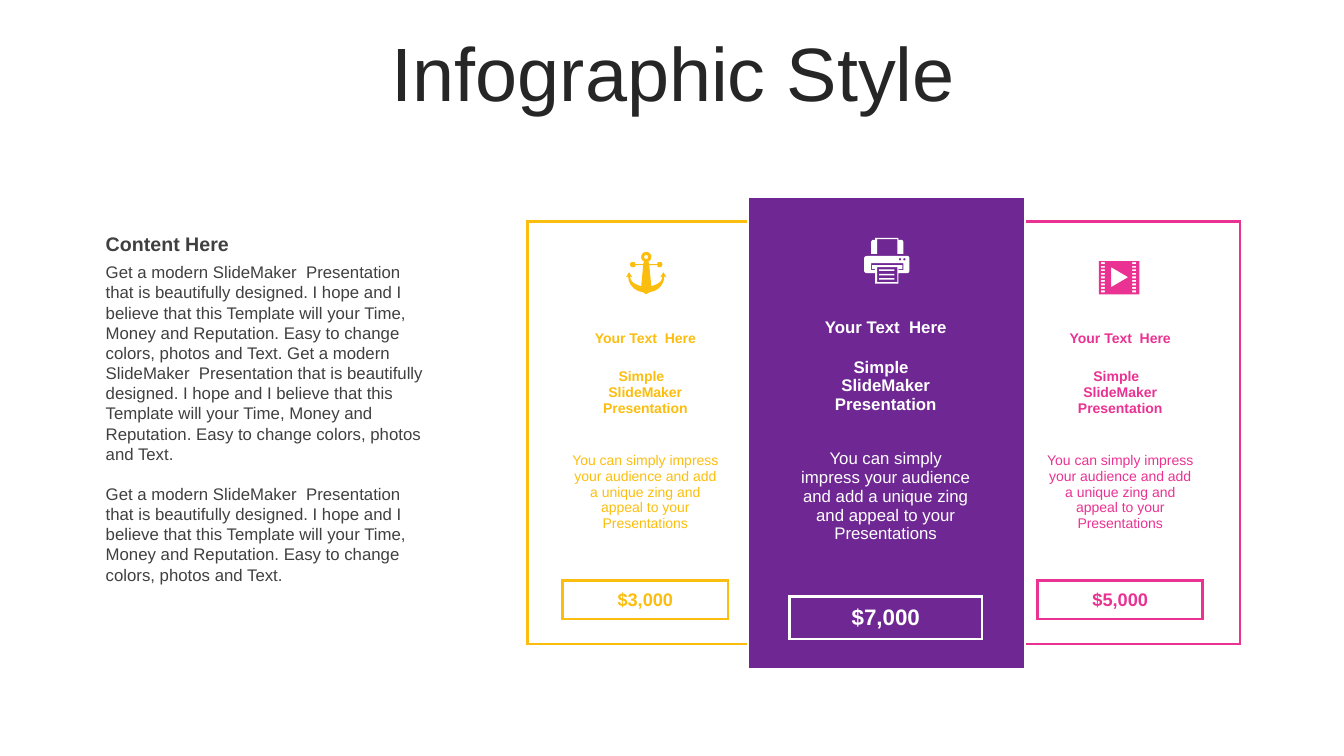
from lxml.etree import SubElement as Sub
from pptx import Presentation
from pptx.dml.color import RGBColor
from pptx.enum.text import MSO_ANCHOR as Anchor, MSO_AUTO_SIZE as Fit, PP_ALIGN as Align
from pptx.oxml.ns import qn
from pptx.util import Inches, Pt

PINK, GOLD, PURPLE, WHITE, GREY = "EA3293", "FCBE0E", "6F2893", "FFFFFF", "404040"
NO_GRID = "{2D5ABB26-0587-4C30-8999-92F81FD0307C}"
INTRO = ("Get a modern SlideMaker  Presentation that is beautifully designed. "
         "I hope and I believe that this Template will your Time, Money and "
         "Reputation. Easy to change colors, photos and Text.")
PITCH = ("You can simply impress your audience and add a unique zing and "
         "appeal to your Presentations")
PRICE_ROW = 5
SMALL = dict(cols=(0.35, 1.64, 0.37), rows=(1, 0.33, 0.73, 1.25, 0.25, 0.38, 0.25),
             size=10, price_size=13, edge=2.25, inset=0.08)
LARGE = dict(cols=(0.41, 1.91, 0.43), rows=(1.11, 0.36, 0.8, 1.39, 0.3, 0.42, 0.3),
             size=12, price_size=16, edge=1.5, inset=0.1)


def rgb(code):
    return RGBColor.from_string(code)


def write(frame, *lines, size=12, color=GREY, bold=False, align=None, gap=0, leading=None):
    frame.word_wrap = True
    for i, line in enumerate(lines):
        para = frame.paragraphs[0] if i == 0 else frame.add_paragraph()
        para.alignment = align
        para.line_spacing = leading
        para.space_before = Pt(gap if i else 0)
        run = para.add_run()
        run.text = line
        font = run.font
        font.name, font.size, font.bold = "Arial", Pt(size), bold
        font.color.rgb = rgb(color)


def add_text(slide, x, y, w, h, *lines, **fmt):
    box = slide.shapes.add_textbox(Inches(x), Inches(y), Inches(w), Inches(h))
    write(box.text_frame, *lines, **fmt)


def add_title(slide, text):
    title = slide.shapes.title
    title.left, title.top = Inches(0.35), Inches(0.37)
    title.width, title.height = Inches(12.66), Inches(0.79)
    frame = title.text_frame
    frame.auto_size = Fit.NONE
    frame.vertical_anchor = Anchor.MIDDLE
    write(frame, text, size=54, color="262626", align=Align.CENTER, leading=0.9)


def borders(row, col, edge):
    """Width of each drawn side: the outer frame and the price box."""
    sides = {}
    for side, outer in (("L", col == 0), ("R", col == 2), ("T", row == 0), ("B", row == 6)):
        if outer:
            sides[side] = edge
    box = {(0, 0): "LRTB", (-1, 0): "B", (1, 0): "T", (0, -1): "R", (0, 1): "L"}
    for side in box.get((row - PRICE_ROW, col - 1), ""):
        sides[side] = 2.25
    return sides


def draw_sides(cell, sides, color):
    props = cell._tc.get_or_add_tcPr()
    for side in "LRTB":
        if side in sides:
            line = Sub(props, qn("a:ln" + side), w=str(Pt(sides[side])))
            Sub(Sub(line, qn("a:solidFill")), qn("a:srgbClr"), val=color)


def add_card(slide, x, y, price, ink, fill, cols, rows, size, price_size, edge, inset):
    shape = slide.shapes.add_table(len(rows), len(cols), Inches(x), Inches(y),
                                   Inches(sum(cols)), Inches(sum(rows)))
    table = shape.table
    table.first_row = table.horz_banding = False
    table._tbl.tblPr.find(qn("a:tableStyleId")).text = NO_GRID
    for col, width in zip(table.columns, cols):
        col.width = Inches(width)
    for row, height in zip(table.rows, rows):
        row.height = Inches(height)
    content = {
        1: (["Your Text  Here"], size, True),
        2: (["Simple  ", "SlideMaker Presentation"], size, True),
        3: ([PITCH], size, False),
        PRICE_ROW: ([price], price_size, True),
    }
    for r in range(len(rows)):
        for c in range(len(cols)):
            cell = table.cell(r, c)
            draw_sides(cell, borders(r, c, edge), ink)
            cell.fill.solid()
            cell.fill.fore_color.rgb = rgb(fill)
            cell.vertical_anchor = Anchor.MIDDLE
            cell.margin_left = cell.margin_right = Inches(inset)
            cell.margin_top = cell.margin_bottom = Inches(inset / 2)
            if c == 1 and r in content:
                lines, points, bold = content[r]
                write(cell.text_frame, *lines, size=points, color=ink,
                      bold=bold, align=Align.CENTER)
            else:
                Sub(cell.text_frame.paragraphs[0]._p, qn("a:endParaRPr"), sz="600")


def flat(steps):
    """Turn points and cubic curves (six numbers) into plain points."""
    points = []
    for step in steps:
        if len(step) == 2:
            points.append(step)
            continue
        knots = [points[-1], step[:2], step[2:4], step[4:]]
        for t in (0.2, 0.4, 0.6, 0.8, 1):
            mix = ((1 - t) ** 3, 3 * t * (1 - t) ** 2, 3 * t * t * (1 - t), t ** 3)
            points.append(tuple(sum(m * k[i] for m, k in zip(mix, knots)) for i in (0, 1)))
    return points


def rect(x, y, w, h):
    return [(x, y), (x + w, y), (x + w, y + h), (x, y + h)]


def disc(x, y, r):
    k = 0.55 * r
    return [(x, y - r), (x + k, y - r, x + r, y - k, x + r, y),
            (x + r, y + k, x + k, y + r, x, y + r),
            (x - k, y + r, x - r, y + k, x - r, y),
            (x - r, y - k, x - k, y - r, x, y - r)]


def add_icon(slide, x, y, color, loops):
    """Draw closed loops given in hundredths of an inch from x, y."""
    pen = None
    for loop in loops:
        (first, *rest) = [(Inches(x + a / 100), Inches(y + b / 100)) for a, b in flat(loop)]
        if pen is None:
            pen = slide.shapes.build_freeform(*first)
        else:
            pen.move_to(*first)
        pen.add_line_segments(rest, close=True)
    icon = pen.convert_to_shape()
    icon.shadow.inherit = False
    icon.fill.solid()
    icon.fill.fore_color.rgb = rgb(color)
    icon.line.fill.background()


def film():
    holes = [rect(x, 1.2 + 3.5 * i, 4, 1.9) for i in range(9) for x in (2, 33)]
    return [rect(0, 0, 40, 33), [(12, 6), (12, 26), (29, 16)], *holes]


def anchor():
    half = flat([
        (0, 0), (3, 0, 5, 2, 5, 5), (5, 7, 4, 8, 3, 9), (2, 9), (3, 12), (11, 12),
        (11, 11), (11, 10, 12, 10, 14, 10), (15, 10, 16, 11, 16, 12),
        (16, 14, 15, 15, 14, 15), (12, 15, 11, 15, 11, 14), (11, 13), (3, 13), (5, 34),
        (11, 32, 16, 30, 16, 24), (15, 25, 14, 25, 14, 25), (15, 23, 16, 22, 17, 20),
        (18, 22, 19, 23, 20, 25), (20, 25, 19, 25, 18, 24), (18, 32, 12, 39, 3, 40),
        (2, 41, 1, 41, 0, 42)])
    return [half + [(-x, y) for x, y in reversed(half)], disc(0, 5, 2)]


def printer():
    body = [(3, 18), (43, 18), (44, 18, 45, 19, 45, 21), (45, 32), (45, 34, 44, 35, 43, 35),
            (34, 35), (34, 45.5), (11, 45.5), (11, 35), (3, 35), (1, 35, 0, 34, 0, 32),
            (0, 21), (0, 19, 1, 18, 3, 18)]
    slot = [(7, 25), (7, 32), (11, 32), (11, 31), (8, 31), (8, 27), (38, 27), (38, 31),
            (34, 31), (34, 32), (39, 32), (39, 25)]
    feed = [(11, 0), (34, 0), (34, 2), (37, 2), (38, 2, 39, 3, 39, 5), (39, 16), (33, 16),
            (33, 1.2), (13, 1.2), (13, 16), (7, 16), (7, 5), (7, 3, 8, 2, 9, 2), (11, 2)]
    lines = [rect(15, 31.3 + 4.4 * i, 15, 1.5) for i in range(3)]
    lights = [disc(x, 21.3, 1.2) for x in (35.7, 40)]
    return [body, slot, feed, rect(13, 29, 20, 15), *lines, *lights]


def main():
    deck = Presentation()
    deck.slide_width, deck.slide_height = Inches(13.33), Inches(7.5)
    slide = deck.slides.add_slide(deck.slide_layouts[5])
    add_title(slide, "Infographic Style")
    add_card(slide, 9.94, 2.2, "$5,000", PINK, WHITE, **SMALL)
    add_card(slide, 5.23, 2.2, "$3,000", GOLD, WHITE, **SMALL)
    add_card(slide, 7.42, 1.96, "$7,000", WHITE, PURPLE, **LARGE)
    add_text(slide, 0.95, 2.55, 3.41, 3.33, f"{INTRO} {INTRO}", INTRO, gap=14.4)
    add_text(slide, 0.95, 2.25, 3.41, 0.34, "Content Here", size=14, bold=True)
    add_icon(slide, 10.9, 2.59, PINK, film())
    add_icon(slide, 6.41, 2.5, GOLD, anchor())
    add_icon(slide, 8.57, 2.36, WHITE, printer())
    deck.save("out.pptx")


if __name__ == "__main__":
    main()
